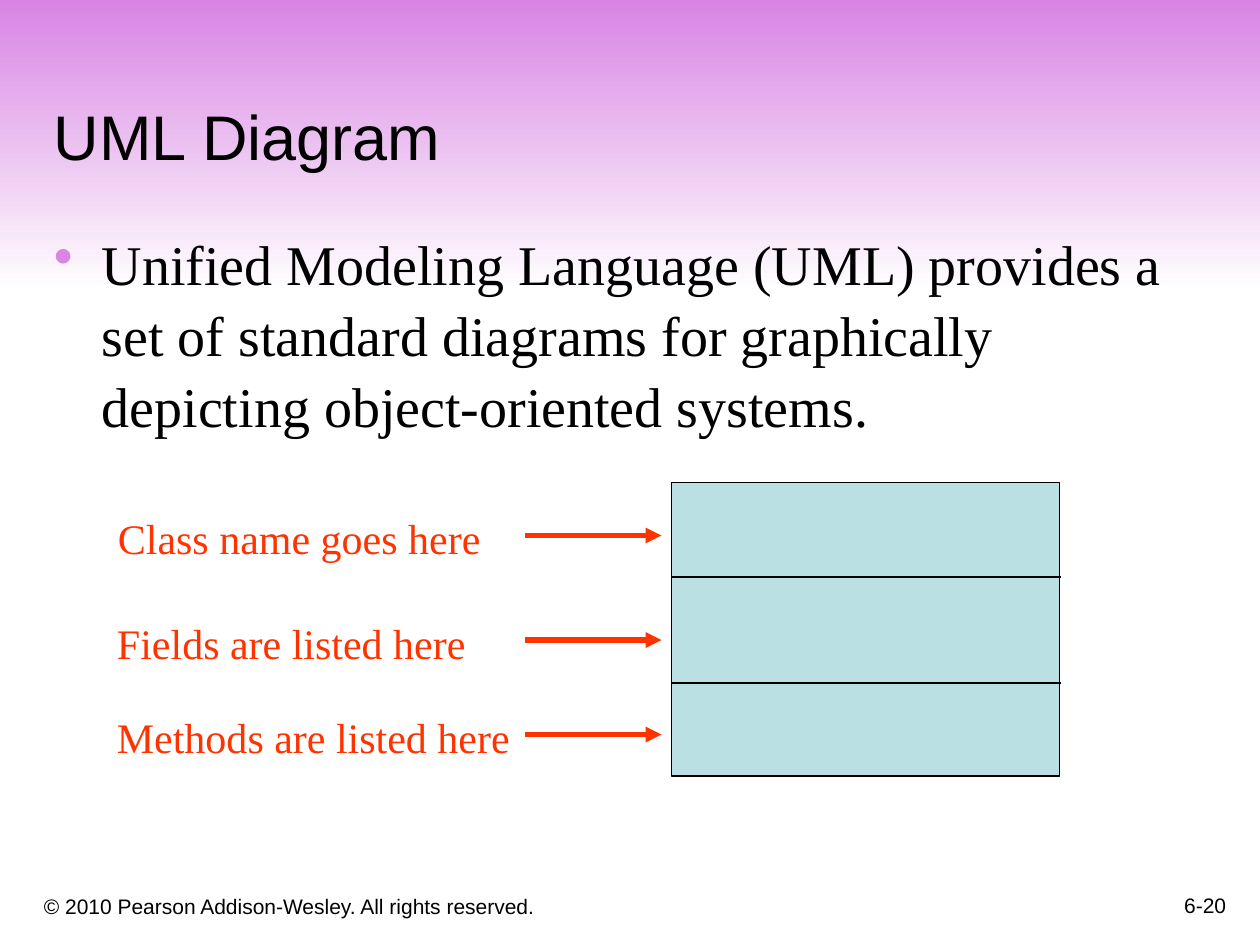
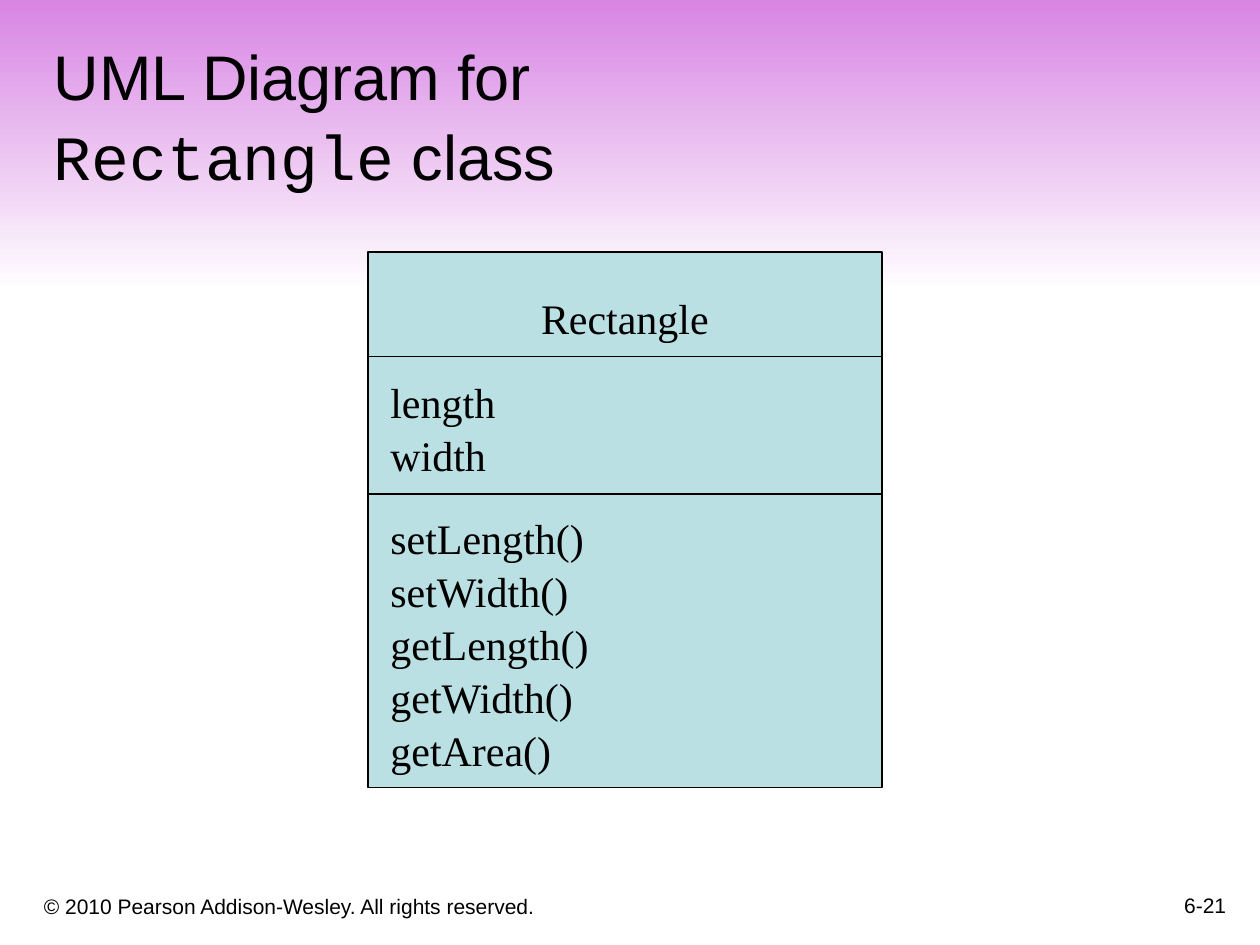
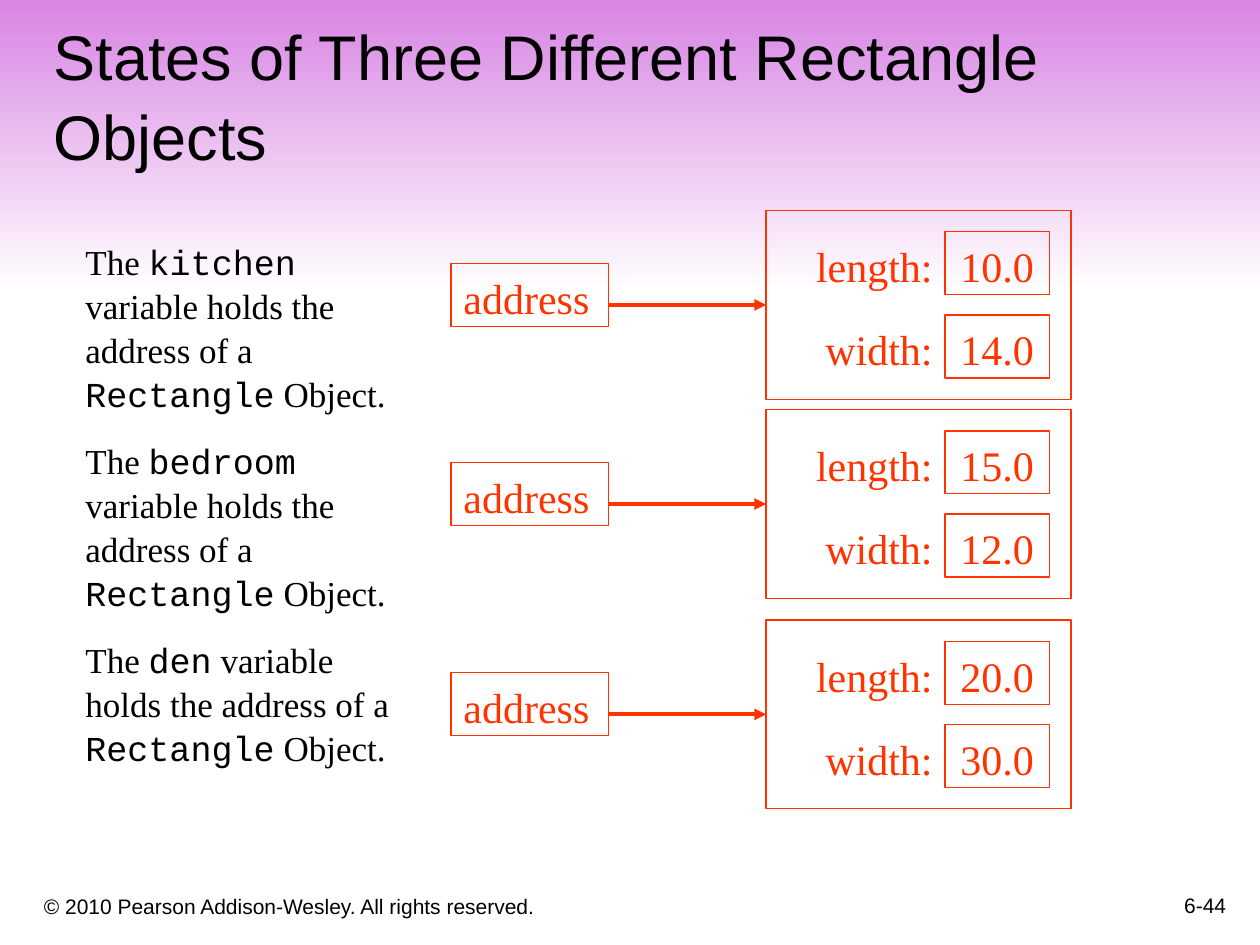
from lxml import etree
from pptx import Presentation
from pptx.dml.color import RGBColor
from pptx.enum import shapes, text
from pptx.oxml import ns
from pptx.util import Inches, Pt

BLACK, WHITE, RED = "000000", "FFFFFF", "FF3300"
VIOLET, TEAL = "D885E3", "BBE0E3"
SANS, SERIF, MONO = "Arial", "Times New Roman", "Courier New"
LEFT, MID, RIGHT = text.PP_ALIGN.LEFT, text.PP_ALIGN.CENTER, text.PP_ALIGN.RIGHT
TOP, BASE = text.MSO_ANCHOR.TOP, text.MSO_ANCHOR.BOTTOM


def paint(color, code):
    color.rgb = RGBColor.from_string(code)


def tag(parent, name, **attrs):
    return etree.SubElement(parent, ns.qn(name), attrs)


class Deck:
    def __init__(self):
        self.prs = Presentation()
        self.prs.slide_width = Inches(10)
        self.prs.slide_height = Inches(7.5)

    def page(self, number, title, width=9.42, height=1.09):
        self.slide = self.prs.slides.add_slide(self.prs.slide_layouts[6])
        band = self.rect(0, 0, 10, 2.32, line=None)
        band.fill.gradient()
        band.fill.gradient_angle = 270
        for stop, code, place in zip(band.fill.gradient_stops, (VIOLET, WHITE), (0, 1)):
            paint(stop.color, code)
            stop.position = place
        self.label("© 2010 Pearson Addison-Wesley. All rights reserved.",
                   0.25, 6.92, 6.08, 0.42, 12, font=SANS, anchor=BASE)
        self.label(number, 7.75, 6.83, 2.08, 0.5, 12, font=SANS,
                   align=RIGHT, anchor=BASE)
        self.label(title, 0.33, 0.33, width, height, 36, font=SANS, anchor=BASE)

    def letter(self, shape, words, size=24, color=BLACK, font=SERIF,
               align=LEFT, anchor=TOP, bullet=False):
        frame = shape.text_frame
        frame.word_wrap = True
        frame.vertical_anchor = anchor
        par = frame.paragraphs[0]
        par.alignment = align
        par.line_spacing = 1.05
        if bullet:
            frame.margin_right = 0
            props = par._p.get_or_add_pPr()
            props.set("marL", str(Inches(0.38)))
            props.set("indent", str(-Inches(0.38)))
            tag(tag(props, "a:buClr"), "a:srgbClr", val=VIOLET)
            tag(props, "a:buChar", char="•")
        par.font.size = Pt(size)
        paint(par.font.color, color)
        parts = words.split("`")
        if len(parts) == 1:
            par.font.name = font
        for i, part in enumerate(parts):
            for j, piece in enumerate(part.split("\n")):
                if j:
                    par.add_line_break()
                if piece:
                    run = par.add_run()
                    run.text = piece
                    run.font.size = Pt(size)
                    run.font.name = MONO if i % 2 else font
                    paint(run.font.color, color)

    def label(self, words, x, y, w, h, size=24, **style):
        box = self.slide.shapes.add_textbox(Inches(x), Inches(y), Inches(w), Inches(h))
        self.letter(box, words, size, **style)

    def rect(self, x, y, w, h, fill=None, line=BLACK):
        box = self.slide.shapes.add_shape(shapes.MSO_SHAPE.RECTANGLE, Inches(x),
                                          Inches(y), Inches(w), Inches(h))
        box.shadow.inherit = False
        if fill:
            box.fill.solid()
            paint(box.fill.fore_color, fill)
        else:
            box.fill.background()
        if line:
            paint(box.line.color, line)
            box.line.width = Pt(0.75)
        else:
            box.line.fill.background()
        return box

    def cell(self, words, x, y, w, align=LEFT):
        self.letter(self.rect(x, y, w, 0.5, line=RED), words, color=RED, align=align)

    def rule(self, x, y, end, color=BLACK, width=0.75, head=False):
        line = self.slide.shapes.add_connector(
            shapes.MSO_CONNECTOR.STRAIGHT, Inches(x), Inches(y), Inches(end), Inches(y))
        paint(line.line.color, color)
        line.line.width = Pt(width)
        props = line._element.spPr
        if head:
            tag(props.find(ns.qn("a:ln")), "a:tailEnd", type="triangle")
        tag(props, "a:effectLst")

    def state(self, top, name, length, width):
        self.cell("address", 3.58, top + 0.42, 1.25)
        for word, value, y in (("length:", length, top + 0.17),
                               ("width:", width, top + 0.83)):
            self.cell(value, 7.5, y, 0.83, MID)
            self.label(word, 6.25, y, 1.25, 0.5, color=RED, align=RIGHT)
        self.rect(6.08, top, 2.42, 1.5, line=RED)
        self.rule(4.83, top + 0.75, 6.08, RED, 2.25, True)
        self.label(f"The `{name}` variable holds the address of a `Rectangle` Object.",
                   0.58, min(top + 0.17, 5), 2.83, 1.44, 20)


def main():
    deck = Deck()

    deck.page("6-20", "UML Diagram")
    deck.label("Unified Modeling Language (UML) provides a set of standard diagrams "
               "for graphically depicting object-oriented systems.",
               0.33, 1.75, 9.07, 5, 32, bullet=True)
    deck.rect(5.33, 3.83, 3.08, 2.33, TEAL)
    for y in (4.58, 5.42):
        deck.rule(5.33, y, 8.42)
    for words, x, y, w, align in (("Class name goes here", 0.75, 4, 3.25, MID),
                                  ("Fields are listed here", 0.83, 4.83, 3.25, LEFT),
                                  ("Methods are listed here", 0.83, 5.58, 3.33, LEFT)):
        deck.label(words, x, y, w, 0.5, color=RED, align=align)
        deck.rule(4.17, y + 0.25, 5.25, RED, 3, True)

    deck.page("6-21", "UML Diagram for\n`Rectangle` class", 8.5, 1.25)
    deck.rect(2.92, 2, 4.08, 4.25, TEAL)
    deck.label("Rectangle", 2.92, 2.25, 4.08, 0.5, align=MID)
    deck.label("length width", 3, 2.92, 1.83, 0.9)
    deck.label("setLength() setWidth() getLength() getWidth() getArea()",
               3, 4, 1.92, 2.1)
    for y in (2.83, 3.92):
        deck.rule(2.92, y, 7)

    deck.page("6-44", "States of Three Different Rectangle Objects")
    for room in ((1.67, "kitchen", "10.0", "14.0"),
                 (3.25, "bedroom", "15.0", "12.0"),
                 (4.92, "den", "20.0", "30.0")):
        deck.state(*room)

    deck.prs.save("out.pptx")


if __name__ == "__main__":
    main()
